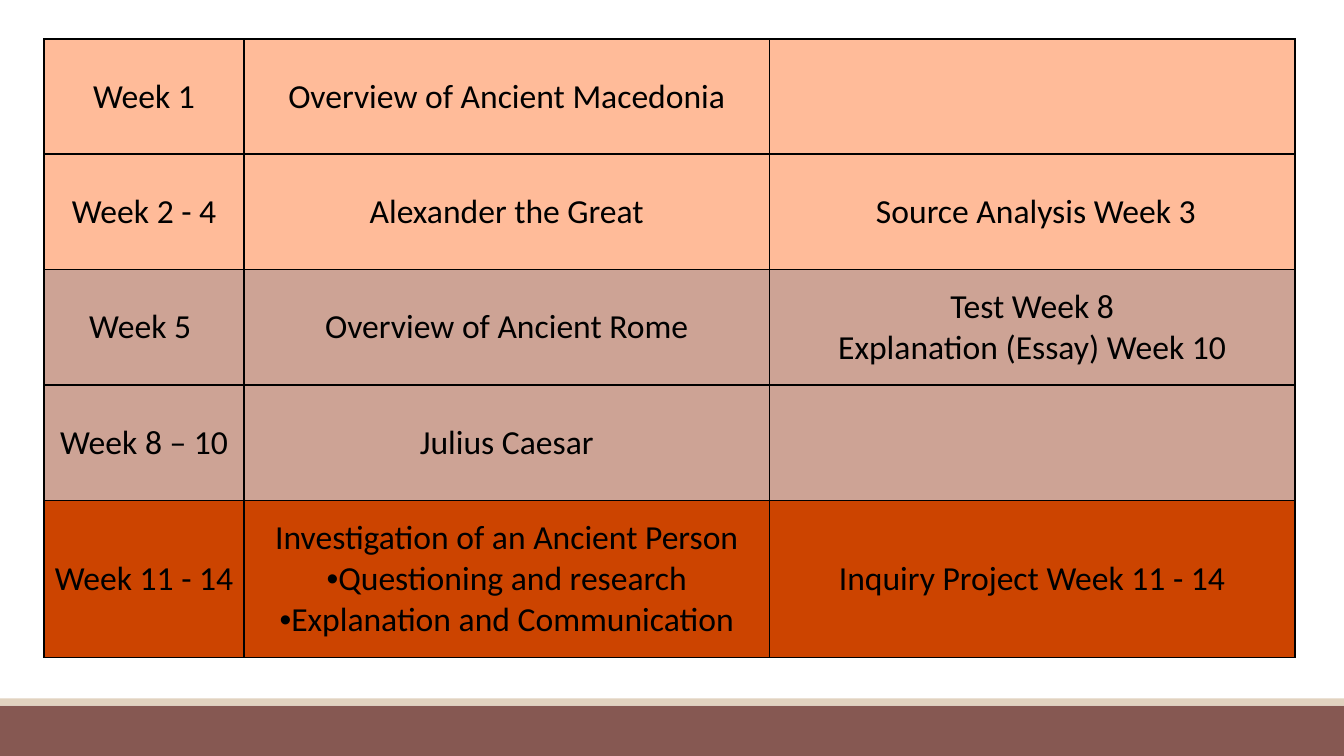
from lxml.etree import SubElement
from pptx import Presentation
from pptx.dml.color import RGBColor
from pptx.enum.shapes import MSO_SHAPE
from pptx.enum.text import MSO_ANCHOR, PP_ALIGN
from pptx.oxml.ns import qn
from pptx.util import Cm, Pt

WIDTH, HEIGHT = 33.87, 19.05
PEACH, ROSE, RUST = "FFBB99", "CDA395", "CC4400"
COLS = [5.04, 13.24, 13.24]
# Height, fill and cells of each row; a cell is a list of lines.
ROWS = [
    (2.9, PEACH, [["Week 1"], ["Overview of Ancient Macedonia"], []]),
    (2.9, PEACH, [["Week 2 - 4"], ["Alexander the Great"],
                  [" Source Analysis Week 3"]]),
    (2.92, ROSE, [["Week 5 "], ["Overview of Ancient Rome"],
                  ["Test Week 8", "Explanation (Essay) Week 10"]]),
    (2.9, ROSE, [["Week 8 – 10"], ["Julius Caesar"], []]),
    (3.96, RUST, [["Week 11 - 14"],
                  ["Investigation of an Ancient Person",
                   "• Questioning and research",
                   "• Explanation and Communication"],
                  ["Inquiry Project Week 11 - 14"]]),
]


def paint(fill, color):
    fill.solid()
    fill.fore_color.rgb = RGBColor.from_string(color)


def add_band(slide, top, height, color):
    band = slide.shapes.add_shape(
        MSO_SHAPE.RECTANGLE, 0, Cm(top), Cm(WIDTH), Cm(height))
    band.shadow.inherit = False
    band.line.fill.background()
    paint(band.fill, color)


def add_bullet(para):
    props = para._p.get_or_add_pPr()
    props.set("marL", "0")
    props.set("indent", "0")
    SubElement(props, qn("a:buFont"), typeface="Arial")
    SubElement(props, qn("a:buChar"), char="•")


def add_border(cell):
    props = cell._tc.get_or_add_tcPr()
    for index, side in enumerate(("lnL", "lnR", "lnT", "lnB")):
        line = props.makeelement(qn("a:" + side), {"w": str(Pt(1.5))})
        fill = SubElement(line, qn("a:solidFill"))
        SubElement(fill, qn("a:srgbClr"), val="000000")
        props.insert(index, line)


def fill_cell(cell, lines, color):
    paint(cell.fill, color)
    add_border(cell)
    cell.vertical_anchor = MSO_ANCHOR.MIDDLE
    cell.margin_left = cell.margin_right = Cm(0.08)
    cell.margin_top = cell.margin_bottom = Cm(0.08)
    frame = cell.text_frame
    for index, line in enumerate(lines):
        para = frame.add_paragraph() if index else frame.paragraphs[0]
        para.text = line.removeprefix("• ")
        para.alignment = PP_ALIGN.CENTER
        if line.startswith("• "):
            add_bullet(para)
        para.font.name = "Calibri"
        para.font.size = Pt(24)
        para.font.color.rgb = RGBColor.from_string("000000")


def add_plan(slide, left, top):
    """Add the table of weeks, topics and tasks."""
    height = sum(row[0] for row in ROWS)
    table = slide.shapes.add_table(
        len(ROWS), len(COLS), Cm(left), Cm(top),
        Cm(sum(COLS)), Cm(height)).table
    table.first_row = table.horz_banding = False
    for col, width in zip(table.columns, COLS):
        col.width = Cm(width)
    for row, (height, color, texts) in zip(table.rows, ROWS):
        row.height = Cm(height)
        for cell, lines in zip(row.cells, texts):
            fill_cell(cell, lines, color)


def main():
    deck = Presentation()
    deck.slide_width, deck.slide_height = Cm(WIDTH), Cm(HEIGHT)
    slide = deck.slides.add_slide(deck.slide_layouts[6])
    add_band(slide, 17.78, 1.27, "865852")
    add_band(slide, 17.6, 0.18, "E1D2BF")
    add_plan(slide, 1.11, 0.99)
    deck.save("out.pptx")


if __name__ == "__main__":
    main()
